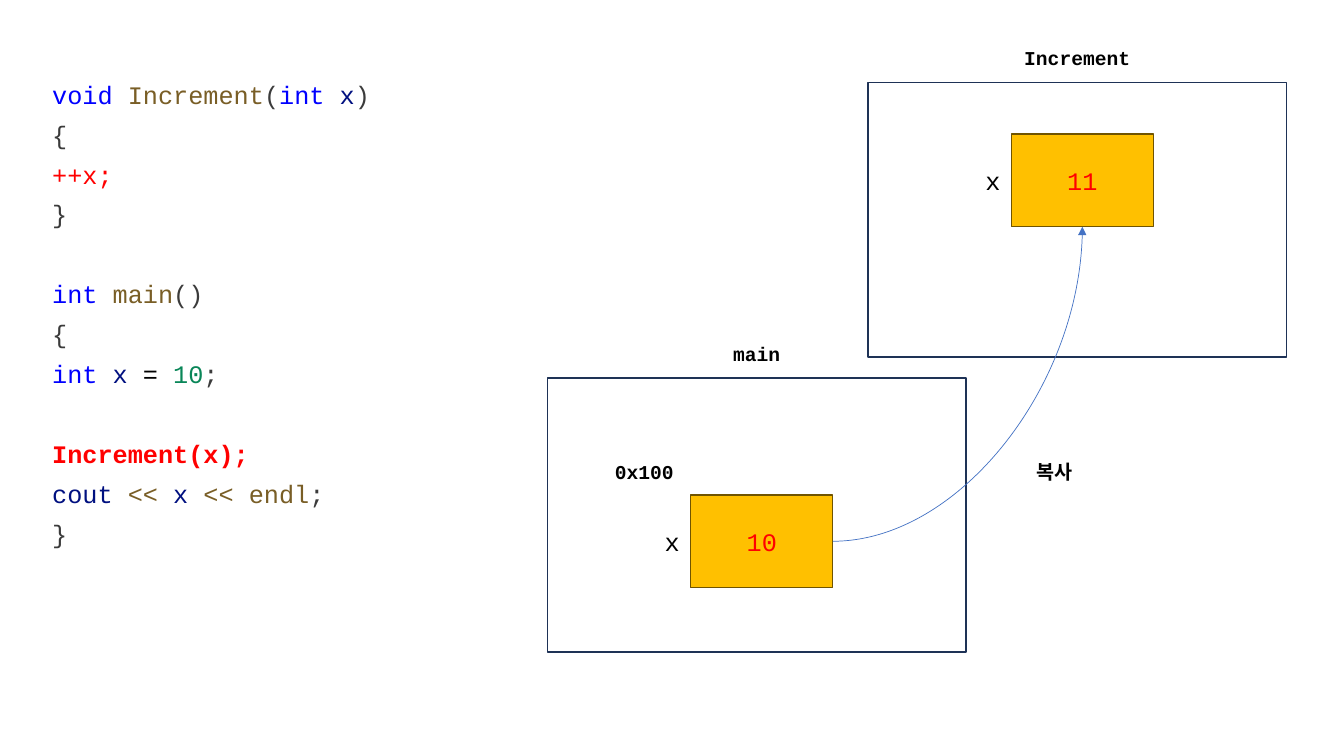
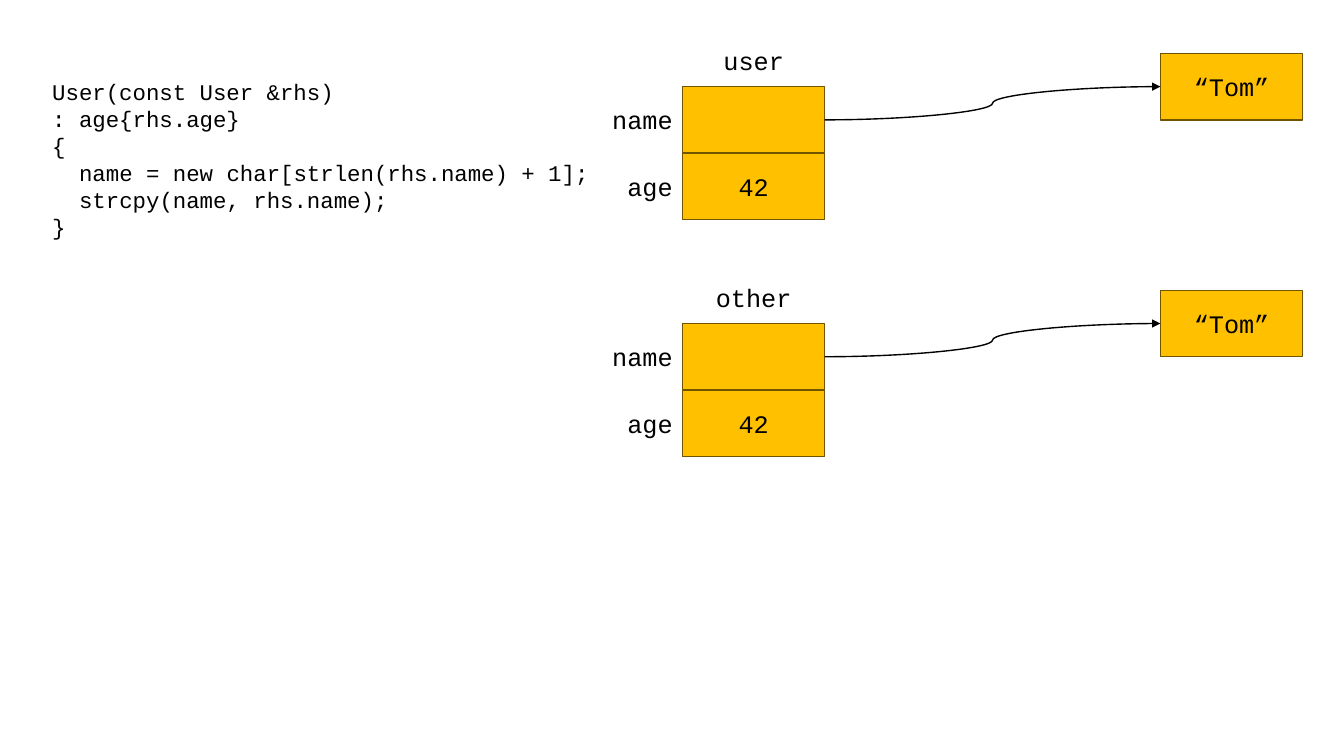
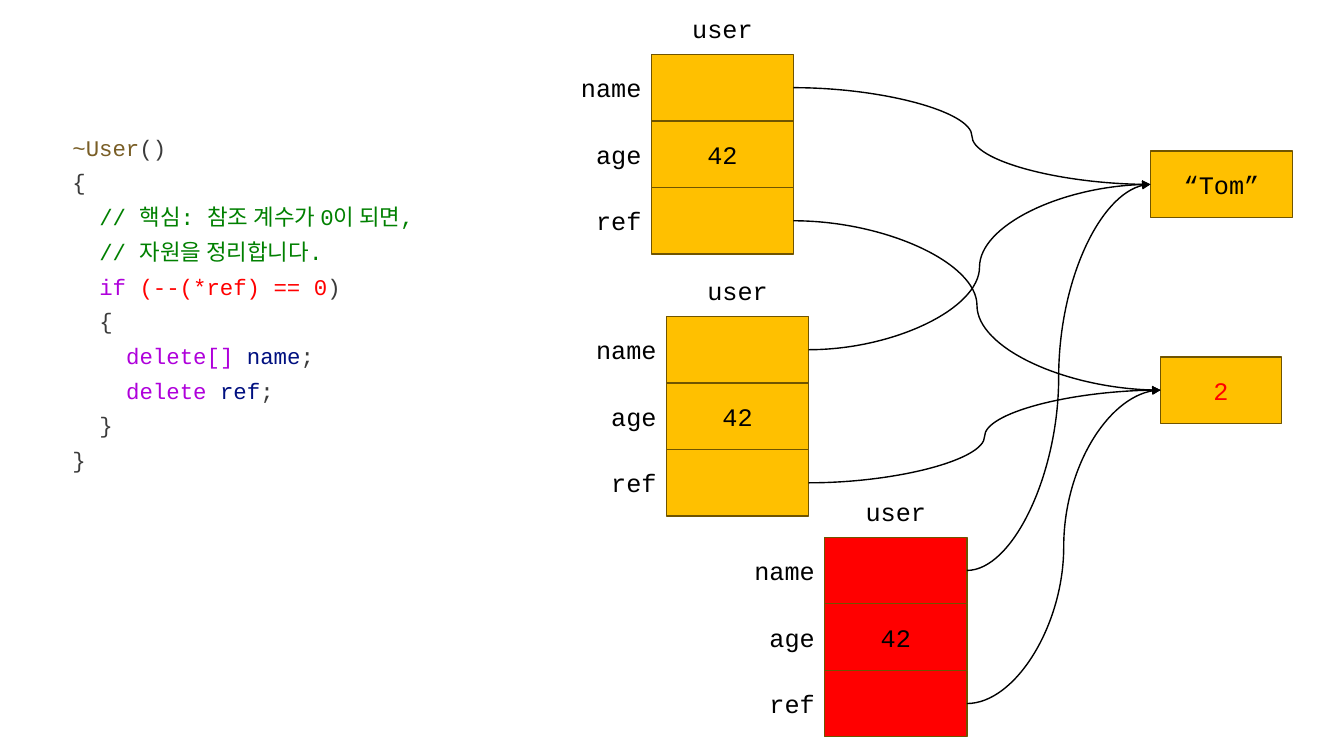
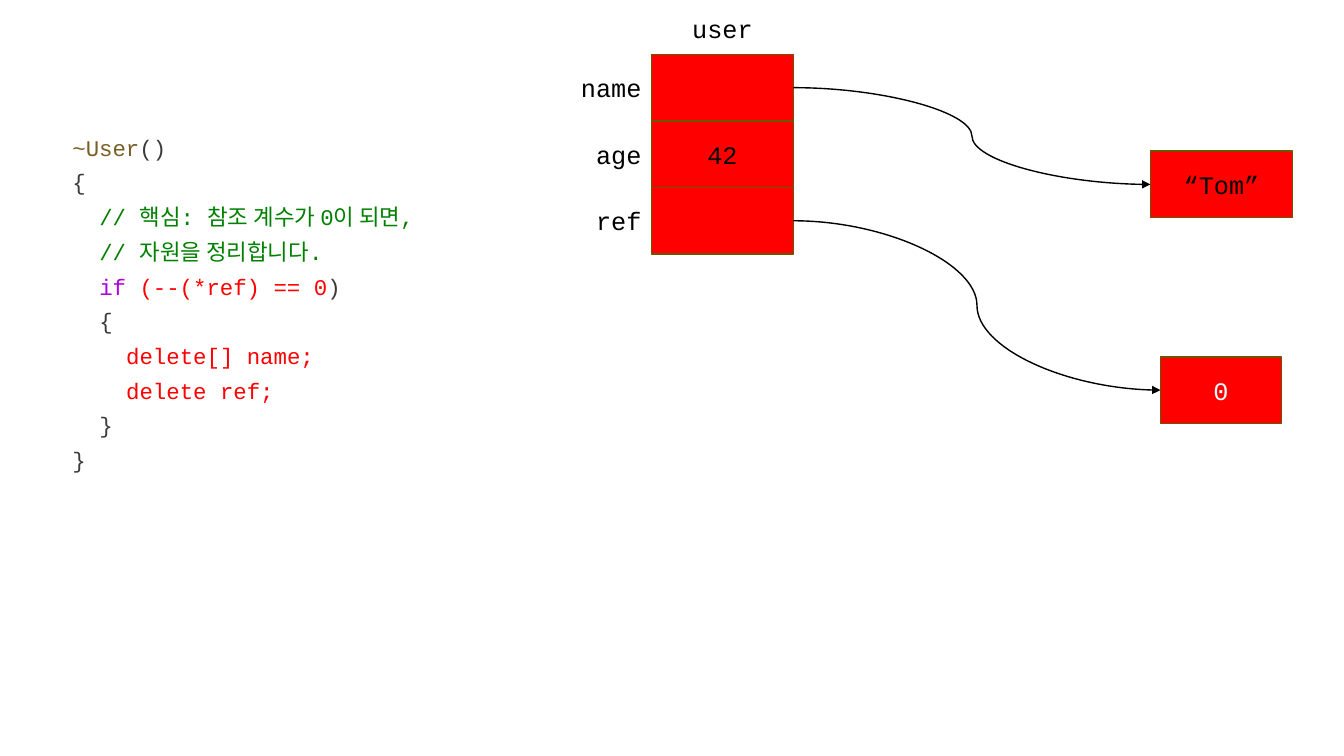
import pptx
import pptx.util
import pptx.dml.color
import pptx.enum.shapes
import pptx.enum.text
import pptx.oxml.ns
import lxml.etree

Inches = pptx.util.Inches
Pt = pptx.util.Pt
rgb = pptx.dml.color.RGBColor.from_string
qn = pptx.oxml.ns.qn
PP_ALIGN = pptx.enum.text.PP_ALIGN
MSO_ANCHOR = pptx.enum.text.MSO_ANCHOR

FONT = "Courier New"
KOREAN_FONT = "Noto Sans CJK KR"
BLACK, WHITE, RED, AMBER = "000000", "FFFFFF", "FF0000", "FFC000"
BROWN, NAVY = "705400", "1E3256"
KEYWORD, FUNCTION, VARIABLE = "0000FF", "795E26", "001080"
NUMBER, PLAIN, COMMENT, CONTROL = "098658", "3B3B3B", "008000", "AF00DB"
LEFT, CENTER, RIGHT = PP_ALIGN.LEFT, PP_ALIGN.CENTER, PP_ALIGN.RIGHT


def add_text(s, text, x, y, w, h, size=18, color=BLACK, bold=False, align=LEFT,
             fill=None, line=BROWN, spacing=None, gaps=()):
    at = Inches(x), Inches(y), Inches(w), Inches(h)
    if fill:
        sp = s.shapes.add_shape(pptx.enum.shapes.MSO_SHAPE.RECTANGLE, *at)
        sp.shadow.inherit = False
        sp.fill.solid()
        sp.fill.fore_color.rgb = rgb(fill)
        sp.line.color.rgb = rgb(line)
        sp.line.width = Pt(1)
    else:
        sp = s.shapes.add_textbox(*at)
    if not text:
        return sp
    tf = sp.text_frame
    tf.word_wrap = True
    tf.vertical_anchor = MSO_ANCHOR.MIDDLE if fill else MSO_ANCHOR.TOP
    lines = [(0, [(text, color)])] if isinstance(text, str) else text
    for i, (indent, runs) in enumerate(lines):
        p = tf.add_paragraph() if i else tf.paragraphs[0]
        p.alignment = align
        if spacing:
            p.line_spacing = Pt(spacing)
        if i in gaps:
            p.space_before = Pt(spacing)
        if indent:
            p._p.get_or_add_pPr().set("marL", str(Pt(1.2 * size * indent)))
        for content, run_color, *run_bold in runs:
            r = p.add_run()
            r.text = content
            r.font.size = Pt(size)
            r.font.bold = bool(run_bold) or bold
            r.font.color.rgb = rgb(run_color)
            r.font.name = FONT
            ea = lxml.etree.SubElement(r._r.get_or_add_rPr(), qn("a:ea"))
            ea.set("typeface", KOREAN_FONT)
    return sp


def add_arrow(s, start, end, end_side=1, color=BLACK, width=1, preset="curvedConnector3"):
    c = s.shapes.add_connector(pptx.enum.shapes.MSO_CONNECTOR.CURVE, 0, 0, 0, 0)
    c.begin_connect(start, 3)
    c.end_connect(end, end_side)
    c.line.color.rgb = rgb(color)
    c.line.width = Pt(width)
    spPr = c._element.spPr
    spPr.find(qn("a:prstGeom")).set("prst", preset)
    lxml.etree.SubElement(c.line._get_or_add_ln(), qn("a:tailEnd")).set("type", "triangle")
    lxml.etree.SubElement(spPr, qn("a:effectLst"))


prs = pptx.Presentation()
prs.slide_width, prs.slide_height = Inches(13.33), Inches(7.5)
blank = prs.slide_layouts[6]

increment_code = [
    (0, [("void ", KEYWORD), ("Increment", FUNCTION), ("(", PLAIN), ("int ", KEYWORD),
         ("x", VARIABLE), (")", PLAIN)]),
    (0, [("{", PLAIN)]),
    (0, [("++x;", RED)]),
    (0, [("}", PLAIN)]),
    (0, [("int ", KEYWORD), ("main", FUNCTION), ("()", PLAIN)]),
    (0, [("{", PLAIN)]),
    (0, [("int ", KEYWORD), ("x ", VARIABLE), ("= ", BLACK), ("10", NUMBER), (";", PLAIN)]),
    (0, [("Increment(x);", RED, True)]),
    (0, [("cout ", VARIABLE), ("<< ", FUNCTION), ("x ", VARIABLE), ("<< endl", FUNCTION),
         (";", PLAIN)]),
    (0, [("}", PLAIN)]),
]
s = prs.slides.add_slide(blank)
add_text(s, increment_code, 0.42, 0.64, 6.66, 4.95, spacing=28.5, gaps=(4, 7))
variables = []
for name, value, x, y in [("main", "10", 5.43, 3.75), ("Increment", "11", 8.61, 0.82)]:
    add_text(s, "", x, y, 4.15, 2.72, fill=WHITE, line=NAVY)
    add_text(s, name, x, y - 0.41, 4.15, 0.34, size=14, bold=True, align=CENTER)
    dy = 1.16 if name == "main" else 0.51
    variables.append(add_text(s, value, x + 1.42, y + dy, 1.41, 0.92, color=RED,
                              align=CENTER, fill=AMBER))
    add_text(s, "x", x - 0.21, y + dy + 0.26, 1.62, 0.4, align=RIGHT)
for label, x in [("0x100", 6), ("복사", 10.18)]:
    add_text(s, label, x, 4.51, 1.79, 0.34, size=14, bold=True)
add_arrow(s, *variables, end_side=2, color="4472C4", width=0.5, preset="curvedConnector2")

copy_code = [
    (indent, [(text, BLACK)]) for indent, text in [
        (0, "User(const User &rhs)"),
        (0, ": age{rhs.age}"),
        (0, "{"),
        (1, "name = new char[strlen(rhs.name) + 1];"),
        (1, "strcpy(name, rhs.name);"),
        (0, "}"),
    ]
]
destructor_start = [
    (0, [("~User", FUNCTION), ("()", PLAIN)]),
    (0, [("{", PLAIN)]),
    (1, [("// 핵심: 참조 계수가 0이 되면,", COMMENT)]),
    (1, [("// 자원을 정리합니다.", COMMENT)]),
    (1, [("if ", CONTROL), ("(--(*ref) == 0", RED), (")", PLAIN)]),
    (1, [("{", PLAIN)]),
]
destructor_end = [(1, [("}", PLAIN)]), (0, [("}", PLAIN)])]
delete_idle = [
    (2, [(keyword, CONTROL), (name, VARIABLE), (";", PLAIN)])
    for keyword, name in [("delete[] ", "name"), ("delete ", "ref")]
]
delete_active = [(2, [(text, RED)]) for text in ("delete[] name;", "delete ref;")]

copy_place = dict(x=0.42, y=0.73, w=5.6, h=1.99)
destructor_place = dict(x=0.62, y=1.2, w=6.67, h=3.59, spacing=24.8)
shared = {"name": 0, "ref": 1}
object_slides = [
    (copy_code, copy_place,
     [("“Tom”", 11.51, 0.53, 1.41, AMBER, BLACK), ("“Tom”", 11.51, 2.88, 1.41, AMBER, BLACK)],
     [("user", 6.77, 0.86, AMBER, ("name", "age"), {"name": 0}),
      ("other", 6.77, 3.21, AMBER, ("name", "age"), {"name": 1})]),
    (destructor_start + delete_idle + destructor_end, destructor_place,
     [("“Tom”", 11.41, 1.5, 1.41, AMBER, BLACK), ("2", 11.51, 3.54, 1.2, AMBER, RED)],
     [("user", x, y, fill, ("name", "age", "ref"), shared)
      for x, y, fill in [(6.46, 0.54, AMBER), (6.61, 3.14, AMBER), (8.18, 5.33, RED)]]),
    (destructor_start + delete_active + destructor_end, destructor_place,
     [("“Tom”", 11.41, 1.5, 1.41, RED, BLACK), ("0", 11.51, 3.54, 1.2, RED, WHITE)],
     [("user", 6.46, 0.54, RED, ("name", "age", "ref"), shared)]),
]
row_h = 0.66
for code, place, targets, records in object_slides:
    s = prs.slides.add_slide(blank)
    add_text(s, code, size=16, **place)
    heap = [
        add_text(s, text, x, y, w, row_h, color=color, align=CENTER, fill=fill)
        for text, x, y, w, fill, color in targets
    ]
    for title, x, y, fill, fields, links in records:
        add_text(s, title, x, y - 0.46, 1.41, 0.4, align=CENTER)
        for i, field in enumerate(fields):
            top = y + i * row_h
            value = "42" if field == "age" else ""
            cell = add_text(s, value, x, top, 1.41, row_h, align=CENTER, fill=fill)
            add_text(s, field, x - 1.15, top + 0.13, 1.15, 0.4, align=RIGHT)
            if field in links:
                add_arrow(s, cell, heap[links[field]])

prs.save("out.pptx")
